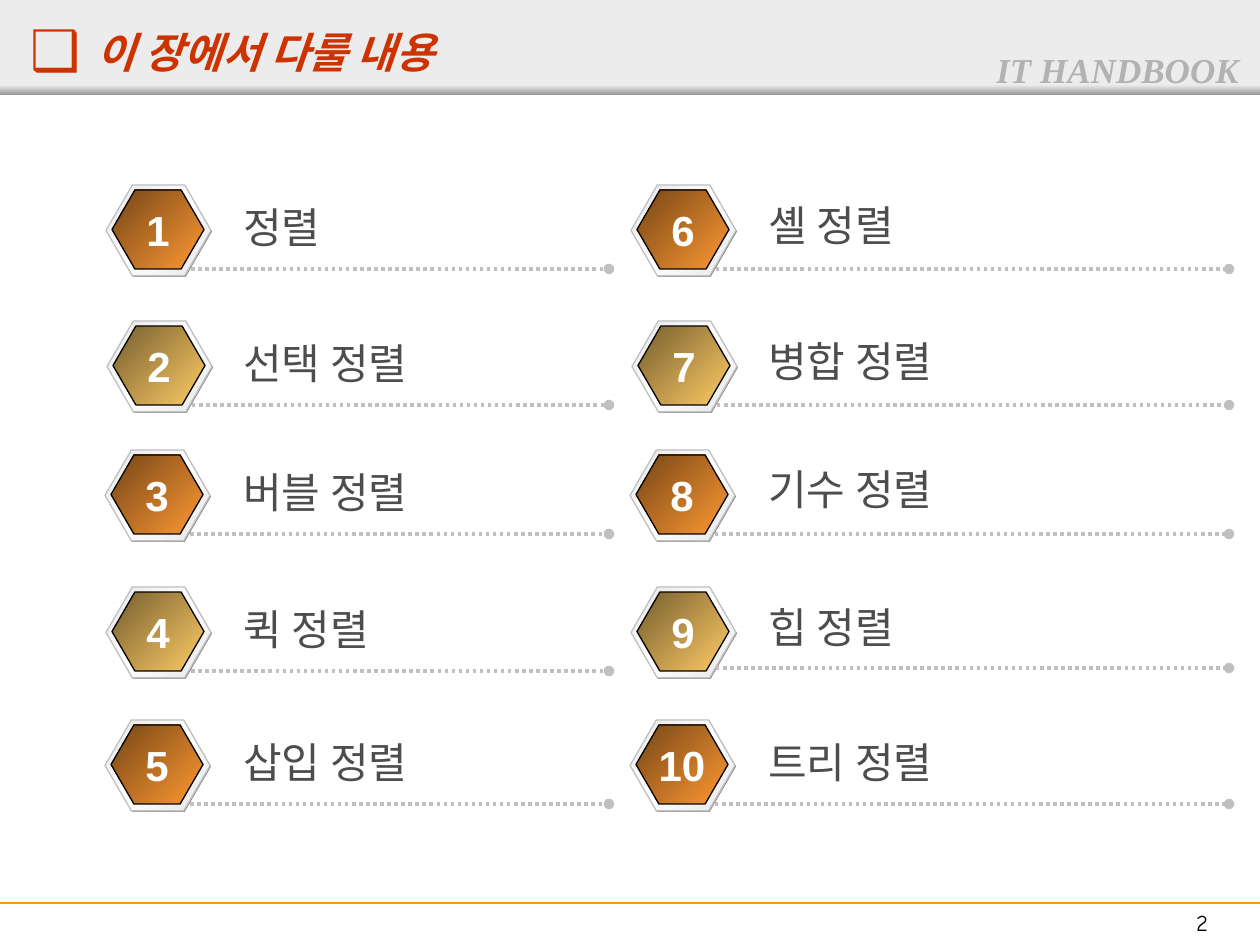
from dataclasses import dataclass

from lxml.etree import SubElement
from pptx import Presentation
from pptx.dml.color import RGBColor
from pptx.enum.dml import MSO_LINE
from pptx.enum.shapes import MSO_CONNECTOR, MSO_SHAPE
from pptx.enum.text import MSO_ANCHOR, MSO_AUTO_SIZE, PP_ALIGN
from pptx.oxml.ns import qn
from pptx.util import Emu, Pt


@dataclass(frozen=True)
class Theme:
    red: str = "CC3300"
    ink: str = "4D4D4D"
    black: str = "000000"
    white: str = "FFFFFF"
    band: str = "ECECEC"
    edge: str = "979797"
    rule: str = "FF9900"
    mark: str = "B2B2B2"
    dots: str = "C0C0C0"
    shade: str = "808080"
    rim: tuple = ("E6E6E6", "FFFFFF", "E6E6E6")
    cores: tuple = (("FF9933", "754617"), ("FFCC66", "755E2F"))
    korean: str = "Noto Sans CJK KR"
    serif: str = "Times New Roman"
    sans: str = "Arial"
    comic: str = "Comic Neue"
    big: int = 24
    mid: int = 20
    small: int = 13


@dataclass(frozen=True)
class Row:
    shift: int
    top: int


@dataclass(frozen=True)
class Column:
    left: int
    end: int
    width: int


@dataclass(frozen=True)
class Topic:
    text: str
    drop: int = 10  # label top below badge top
    rule: int = 84  # dotted line below badge top


THEME = Theme()
ROWS = [Row(1, 185), Row(2, 321), Row(0, 450), Row(1, 587), Row(0, 720)]
COLUMNS = [Column(105, 609, 405), Column(630, 1229, 440)]
TOPICS = [
    Topic("정렬"), Topic("선택 정렬"), Topic("버블 정렬"), Topic("퀵 정렬"), Topic("삽입 정렬"),
    Topic("셸 정렬", 8), Topic("병합 정렬", 8), Topic("기수 정렬", 7),
    Topic("힙 정렬", 8, 81), Topic("트리 정렬"),
]


def px(count: int) -> Emu:
    return Emu(round(count * 914400 / 126))


def place(*box: int) -> list:
    return [px(side) for side in box]


def tint(color: str) -> RGBColor:
    return RGBColor.from_string(color)


def write(frame, text: str, *, font: str, size: int, color: str, bold=False,
          italic=False, align=PP_ALIGN.LEFT, wrap=True, glow=False) -> None:
    """Fill a text frame with one formatted paragraph."""
    frame.word_wrap = wrap
    frame.margin_left = frame.margin_right = Pt(7.2)
    frame.margin_top = frame.margin_bottom = Pt(3.6)
    para = frame.paragraphs[0]
    para.alignment = align
    run = para.add_run()
    run.text = text
    face = run.font
    face.size, face.bold, face.italic = Pt(size), bold, italic
    face.color.rgb = tint(color)
    props = run._r.get_or_add_rPr()
    if glow:
        list_ = SubElement(props, qn("a:effectLst"))
        cast = SubElement(list_, qn("a:outerShdw"), dist="17961", dir="2700000")
        SubElement(cast, qn("a:srgbClr"), val=THEME.white)
    face.name = font
    SubElement(props, qn("a:ea"), typeface=font)


def label(shapes, box: tuple, text: str, **style) -> None:
    frame = shapes.add_textbox(*place(*box)).text_frame
    write(frame, text, **style)
    frame.auto_size = MSO_AUTO_SIZE.SHAPE_TO_FIT_TEXT


def shade(shape, colors: tuple, angle: int) -> None:
    """Spread evenly spaced colours; the angle runs clockwise."""
    shape.fill.gradient()
    shape.fill.gradient_angle = 360 - angle
    stops = shape._element.spPr.find(qn("a:gradFill")).find(qn("a:gsLst"))
    stops.clear()
    for at, color in enumerate(colors):
        stop = SubElement(stops, qn("a:gs"), pos=str(at * 100000 // (len(colors) - 1)))
        SubElement(stop, qn("a:srgbClr"), val=color)


def form(shapes, kind, box: tuple, fill, *, angle=0, edge=None):
    shape = shapes.add_shape(kind, *place(*box))
    shape.shadow.inherit = False
    if isinstance(fill, tuple):
        shade(shape, fill, angle)
    else:
        shape.fill.solid()
        shape.fill.fore_color.rgb = tint(fill)
    if edge:
        shape.line.color.rgb = tint(edge)
        shape.line.width = Pt(0.75)
    else:
        shape.line.fill.background()
    return shape


def rule(shapes, left: int, right: int, top: int, color: str, width: float, dotted=False) -> None:
    line = shapes.add_connector(MSO_CONNECTOR.STRAIGHT, *place(left, top, right, top))
    line.line.color.rgb = tint(color)
    line.line.width = Pt(width)
    if dotted:
        line.line.dash_style = MSO_LINE.ROUND_DOT
        SubElement(line.line._get_or_add_ln(), qn("a:tailEnd"), type="oval")
    SubElement(line._element.spPr, qn("a:effectLst"))


def badge(shapes, left: int, top: int, core: tuple) -> None:
    group = shapes.add_group_shape().shapes
    parts = [
        ((left + 1, top + 1, 105, 91), THEME.shade, None),
        ((left, top, 105, 91), THEME.rim, THEME.dots),
        ((left + 6, top + 5, 92, 79), core, THEME.black),
    ]
    for box, fill, edge in parts:
        form(group, MSO_SHAPE.HEXAGON, box, fill, angle=225, edge=edge).adjustments[0] = 0.29


def entry(shapes, num: int, topic: Topic, row: Row, column: Column) -> None:
    left, top = column.left + row.shift, row.top
    badge(shapes, left, top, THEME.cores[ROWS.index(row) % 2])
    rule(shapes, left + 85, column.end, top + topic.rule, THEME.dots, 2, dotted=True)
    label(shapes, (column.left + 126, top + topic.drop, column.width, 63), topic.text,
          font=THEME.korean, size=THEME.big, color=THEME.ink)
    label(shapes, (left + 16, top + 13, 72, 63), str(num), font=THEME.sans, size=THEME.big,
          color=THEME.white, bold=True, align=PP_ALIGN.CENTER, wrap=False)


def head(slide) -> None:
    title = slide.shapes.title
    title.left, title.top, title.width, title.height = place(18, 20, 1134, 58)
    frame = title.text_frame
    frame.vertical_anchor = MSO_ANCHOR.TOP
    frame.auto_size = MSO_AUTO_SIZE.NONE
    props = frame.paragraphs[0]._p.get_or_add_pPr()
    props.set("marL", str(px(66)))
    props.set("indent", str(-px(66)))
    tone = SubElement(props, qn("a:buClr"))
    SubElement(tone, qn("a:srgbClr"), val=THEME.red)
    SubElement(props, qn("a:buSzPct"), val="133000")
    SubElement(props, qn("a:buFont"), typeface=THEME.sans)
    SubElement(props, qn("a:buChar"), char="❑")
    write(frame, "이 장에서 다룰 내용", font=THEME.korean, size=THEME.big,
          color=THEME.red, bold=True, italic=True)
    slide.shapes._spTree.append(title._element)  # bring above the band


def main() -> None:
    deck = Presentation()
    deck.slide_width, deck.slide_height = place(1260, 945)
    slide = deck.slides.add_slide(deck.slide_layouts[5])
    shapes = slide.shapes

    # Header band, series mark and footer
    form(shapes, MSO_SHAPE.RECTANGLE, (0, 0, 1260, 95), THEME.band)
    form(shapes, MSO_SHAPE.RECTANGLE, (0, 85, 1260, 10), (THEME.band, THEME.edge), angle=90)
    rule(shapes, 0, 1260, 903, THEME.rule, 1.5)
    label(shapes, (984, 42, 276, 55), "IT HANDBOOK", font=THEME.serif, size=THEME.mid,
          color=THEME.mark, bold=True, italic=True, glow=True)
    label(shapes, (1144, 903, 116, 40), "2", font=THEME.comic, size=THEME.small,
          color=THEME.black, align=PP_ALIGN.CENTER)

    # Numbered topics, down each column in turn
    for at, topic in enumerate(TOPICS):
        side, step = divmod(at, len(ROWS))
        entry(shapes, at + 1, topic, ROWS[step], COLUMNS[side])

    # Title
    head(slide)
    deck.save("out.pptx")


if __name__ == "__main__":
    main()
